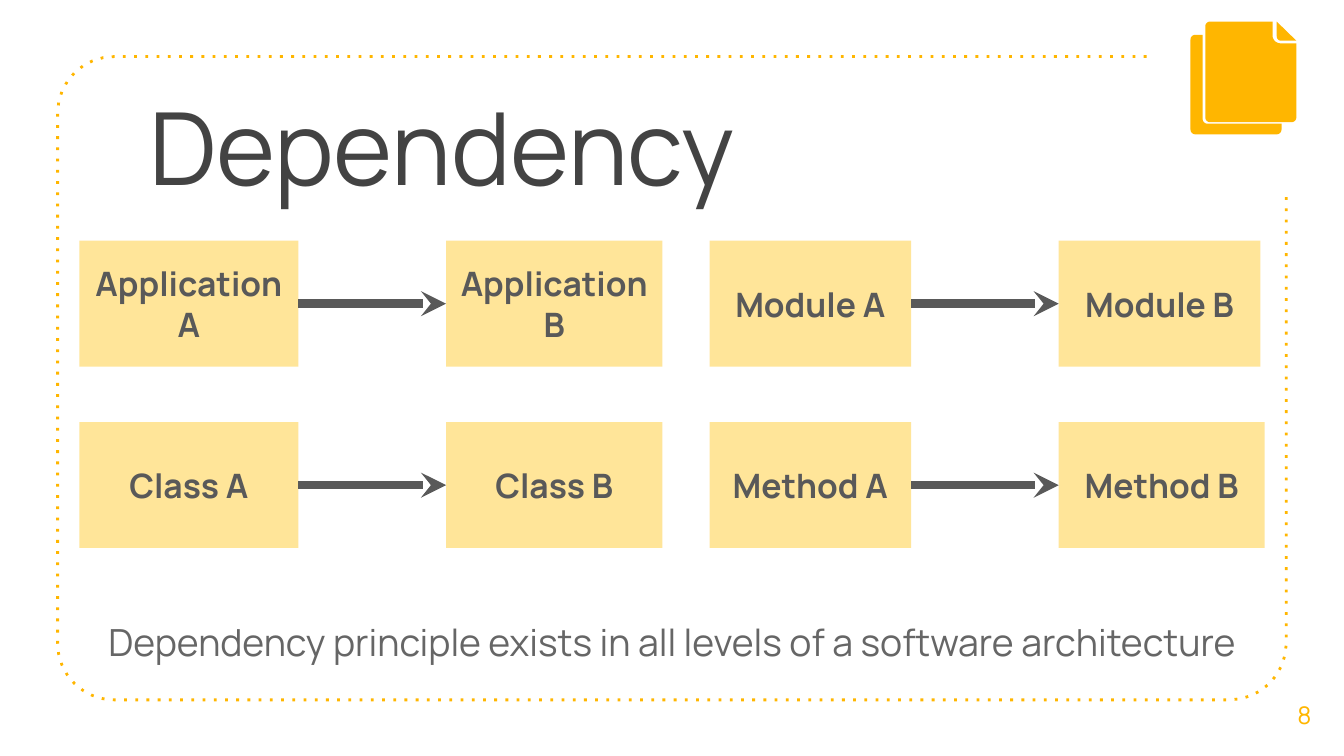
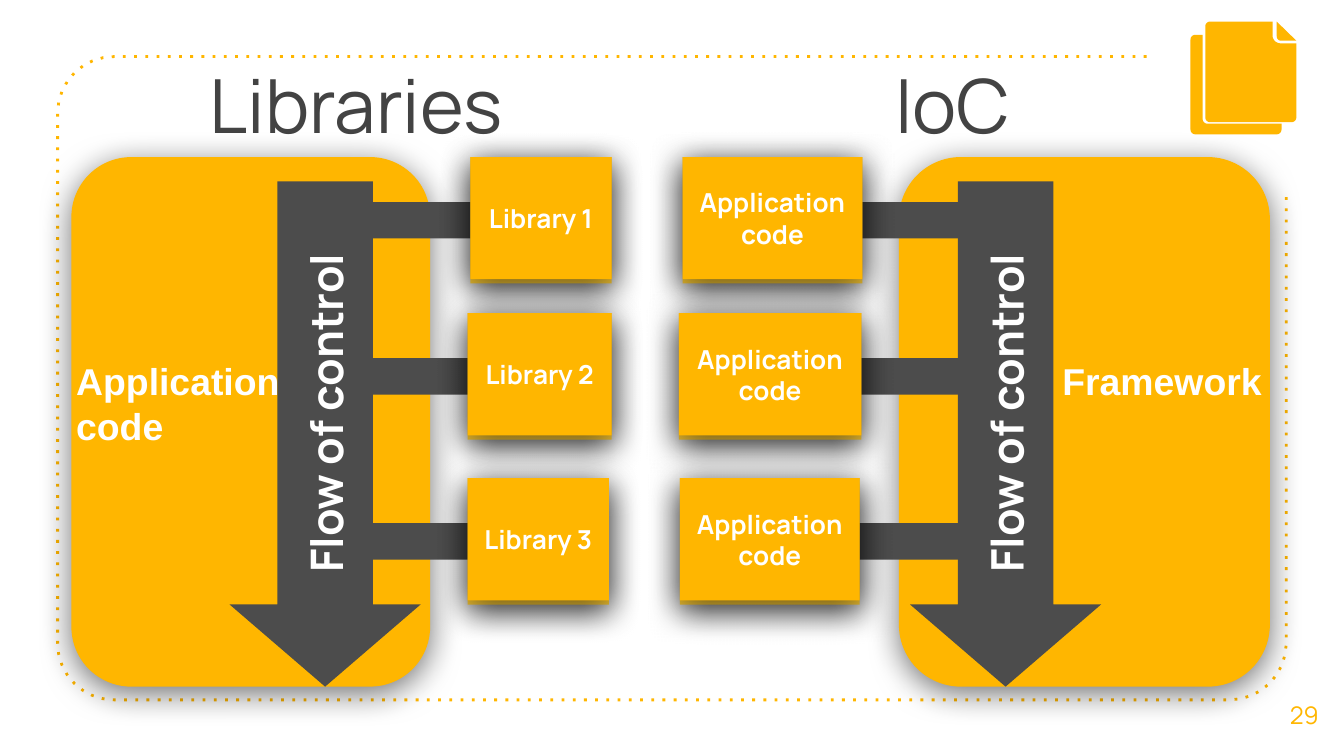
import math
from lxml import etree
from pptx import Presentation
from pptx import util as u
from pptx.dml.color import RGBColor
from pptx.enum import dml, shapes, text
from pptx.oxml.ns import qn

AMBER, SAND, GOLD, WHITE = "FFB600", "FFE599", "F1C232", "FFFFFF"
CHARCOAL, SLATE, INK, GREY = "4C4C4C", "595959", "434343", "666666"
LEFT, CENTER, RIGHT = text.PP_ALIGN.LEFT, text.PP_ALIGN.CENTER, text.PP_ALIGN.RIGHT
TOP, MIDDLE = text.MSO_ANCHOR.TOP, text.MSO_ANCHOR.MIDDLE
RECT = shapes.MSO_SHAPE.RECTANGLE


def rgb(color):
    return RGBColor.from_string(color)


def lengths(box):
    return [u.Cm(value) for value in box]


def write(holder, lines, size, color, bold=False, align=LEFT, anchor=TOP,
          font="Manrope", padding=0.25):
    frame = holder.text_frame
    frame.word_wrap = True
    frame.auto_size = text.MSO_AUTO_SIZE.NONE
    frame.vertical_anchor = anchor
    frame.margin_left = frame.margin_right = u.Cm(0.25)
    frame.margin_top = frame.margin_bottom = u.Cm(padding)
    for index, line in enumerate(lines):
        paragraph = frame.add_paragraph() if index else frame.paragraphs[0]
        paragraph.alignment = align
        run = paragraph.add_run()
        run.text = line
        run.font.name = font
        run.font.size = u.Pt(size)
        run.font.bold = bold
        run.font.color.rgb = rgb(color)


def add_label(slide, box, lines, size, color, **style):
    label = slide.shapes.add_textbox(*lengths(box))
    write(label, lines, size, color, **style)
    return label


def paint(shape, fill, glow=False):
    shape.shadow.inherit = False
    shape.fill.solid()
    shape.fill.fore_color.rgb = rgb(fill)
    shape.line.fill.background()
    if glow:
        effects = shape._element.spPr.find(qn("a:effectLst"))
        shadow = etree.SubElement(
            effects, qn("a:outerShdw"), blurRad=str(u.Pt(18)), dist=str(u.Pt(4)),
            dir="5400000", algn="bl", rotWithShape="0")
        black = etree.SubElement(shadow, qn("a:srgbClr"), val="000000")
        etree.SubElement(black, qn("a:alpha"), val="54000")


def add_block(slide, box, fill, kind=RECT, adjust=(), glow=False):
    block = slide.shapes.add_shape(kind, *lengths(box))
    for index, value in enumerate(adjust):
        block.adjustments[index] = value
    paint(block, fill, glow)
    return block


def add_outline(slide, origin, corners, closed=True):
    points = []
    for index, (x, y, radius) in enumerate(corners):
        if not radius:
            points.append((x, y))
            continue
        before, after = corners[index - 1], corners[(index + 1) % len(corners)]
        arrive, leave = math.dist(before[:2], (x, y)), math.dist(after[:2], (x, y))
        ux, uy = (x - before[0]) / arrive, (y - before[1]) / arrive
        vx, vy = (after[0] - x) / leave, (after[1] - y) / leave
        for step in range(9):
            turn = math.pi / 2 * step / 8
            back, ahead = radius * (math.sin(turn) - 1), radius * (1 - math.cos(turn))
            points.append((x + ux * back + vx * ahead, y + uy * back + vy * ahead))
    placed = [(u.Cm(origin[0] + x), u.Cm(origin[1] + y)) for x, y in points]
    builder = slide.shapes.build_freeform(*placed[0])
    builder.add_line_segments(placed[1:], close=closed)
    return builder.convert_to_shape()


def add_frame(slide, box):
    left, top, width, height = box
    radius = 1.07
    frame = add_outline(slide, (left, top), [
        (width - 2.64, 0, 0), (0, 0, radius), (0, height, radius),
        (width, height, radius), (width, 2.64, 0)], closed=False)
    frame.shadow.inherit = False
    frame.fill.background()
    frame.line.color.rgb = rgb(AMBER)
    frame.line.width = u.Pt(1.5)
    frame.line.dash_style = dml.MSO_LINE.ROUND_DOT
    frame._element.spPr.find(qn("a:ln")).find(qn("a:prstDash")).set("val", "dot")


def add_sheets(slide, origin):
    back = [(0, 0.25, 0.09), (0, 2.13, 0.09), (1.72, 2.13, 0.09),
            (1.72, 1.93, 0), (0.23, 1.93, 0.09), (0.23, 0.25, 0)]
    front = [(0.28, 0, 0.09), (0.28, 1.9, 0.09), (2, 1.9, 0.09),
             (2, 0.41, 0), (1.55, 0.41, 0.15), (1.55, 0, 0)]
    fold = [(1.63, 0, 0), (1.63, 0.36, 0.08), (2, 0.36, 0)]
    for sheet in (back, front, fold):
        paint(add_outline(slide, origin, sheet), AMBER)


def start_slide(deck, title, box, size, number):
    slide = deck.slides.add_slide(deck.slide_layouts[5])
    heading = slide.shapes.title
    heading.left, heading.top, heading.width, heading.height = lengths(box)
    write(heading, [title], size, INK)
    add_frame(slide, (1.09, 1.07, 23.22, 12.16))
    add_sheets(slide, (22.5, 0.41))
    add_label(slide, (23.9, 12.75, 1.5, 1.52), [str(number)], 13, AMBER,
              align=CENTER, anchor=MIDDLE)
    return slide


def add_dependency(slide, origin, names, widths):
    left, top = origin
    height, gap = 2.38, 2.79
    ends = []
    for name, width in zip(names, widths):
        end = add_block(slide, (left, top, width, height), SAND)
        write(end, [name], 18, SLATE, bold=True, align=CENTER, anchor=MIDDLE)
        ends.append(end)
        left += width + gap
    arrow = slide.shapes.add_connector(shapes.MSO_CONNECTOR.STRAIGHT, 0, 0, 0, 0)
    arrow.begin_connect(ends[0], 3)
    arrow.end_connect(ends[1], 1)
    arrow.line.color.rgb = rgb(SLATE)
    arrow.line.width = u.Pt(4.5)
    properties = arrow._element.spPr
    etree.SubElement(properties.find(qn("a:ln")), qn("a:tailEnd"), type="stealth")
    etree.SubElement(properties, qn("a:effectLst"))


def dependency_slide(deck):
    slide = start_slide(deck, "Dependency", (2.57, 1.35, 19.08, 2.39), 54, 8)
    rows = [("Application", "Module", 3.81), ("Class", "Method", 3.89)]
    for row, (wide, narrow, last_width) in enumerate(rows):
        top = 4.55 + 3.43 * row
        for name, left, widths in ((wide, 1.5, (4.14, 4.09)),
                                   (narrow, 13.41, (3.81, last_width))):
            add_dependency(slide, (left, top), (f"{name} A", f"{name} B"), widths)
    principle = add_label(
        slide, (1.5, 11.46, 22.4, 1.88),
        ["Dependency principle exists in all levels of a software architecture"],
        20, GREY)
    principle.text_frame.paragraphs[0]._p.get_or_add_pPr().set("marL", str(u.Cm(0.3)))


def add_card(slide, box, lines):
    left, top, width, height = box
    add_block(slide, box, GOLD, glow=True)
    face = add_block(slide, (left, top, width, height - 0.08), AMBER, glow=True)
    write(face, lines, 14, WHITE, bold=True, align=CENTER, anchor=MIDDLE)


def add_control_flow(slide, panel, arrow_left, bar_left, cards, owner, owner_box, align):
    top, height = panel[1], panel[3]
    add_block(slide, panel, AMBER, shapes.MSO_SHAPE.ROUNDED_RECTANGLE, (0.167,), True)
    card_tops = [top + offset for offset in (0, 2.95, 6.07)]
    for card_top in card_tops:
        add_block(slide, (bar_left, card_top + 0.85, 3, 0.69), CHARCOAL)
    for card_top, (left, width, lines) in zip(card_tops, cards):
        add_card(slide, (left, card_top, width, 2.39), lines)
    add_label(slide, owner_box, [owner], 20, WHITE, bold=True, align=align,
              font="Arial", padding=0.13)
    arrow_width = 3.61
    add_block(slide, (arrow_left, top + 0.46, arrow_width, height - 0.46), CHARCOAL,
              shapes.MSO_SHAPE.DOWN_ARROW, (0.5, 0.43))
    length, thickness = 8.79, 1.8
    flow = add_label(
        slide, (arrow_left + (arrow_width - length) / 2, top + 3.94, length, thickness),
        ["Flow of control"], 24, WHITE, bold=True, align=CENTER, anchor=MIDDLE,
        padding=0.13)
    flow.rotation = 270


def control_slide(deck):
    slide = start_slide(deck, "Libraries", (3.71, 0.86, 6.6, 1.78), 40, 29)
    libraries = [(8.89, 2.67, ["Library 1"]), (8.84, 2.72, ["Library 2"]),
                 (8.84, 2.67, ["Library 3"])]
    add_control_flow(slide, (1.35, 2.97, 6.78, 10.01), 4.34, 6.35, libraries,
                     "Application code", (1.19, 6.65, 5, 1.96), LEFT)
    callbacks = [(left, width, ["Application", "code"])
                 for left, width in ((12.9, 3.4), (12.83, 3.45), (12.85, 3.4))]
    add_control_flow(slide, (16.99, 2.97, 7.01, 10.01), 17.2, 15.6, callbacks,
                     "Framework", (19.1, 6.65, 5, 1.12), RIGHT)
    add_label(slide, (14.71, 0.86, 6.6, 1.78), ["IoC"], 40, INK, align=CENTER)


def main():
    deck = Presentation()
    deck.slide_width, deck.slide_height = u.Cm(25.4), u.Cm(14.29)
    dependency_slide(deck)
    control_slide(deck)
    deck.save("out.pptx")


if __name__ == "__main__":
    main()
